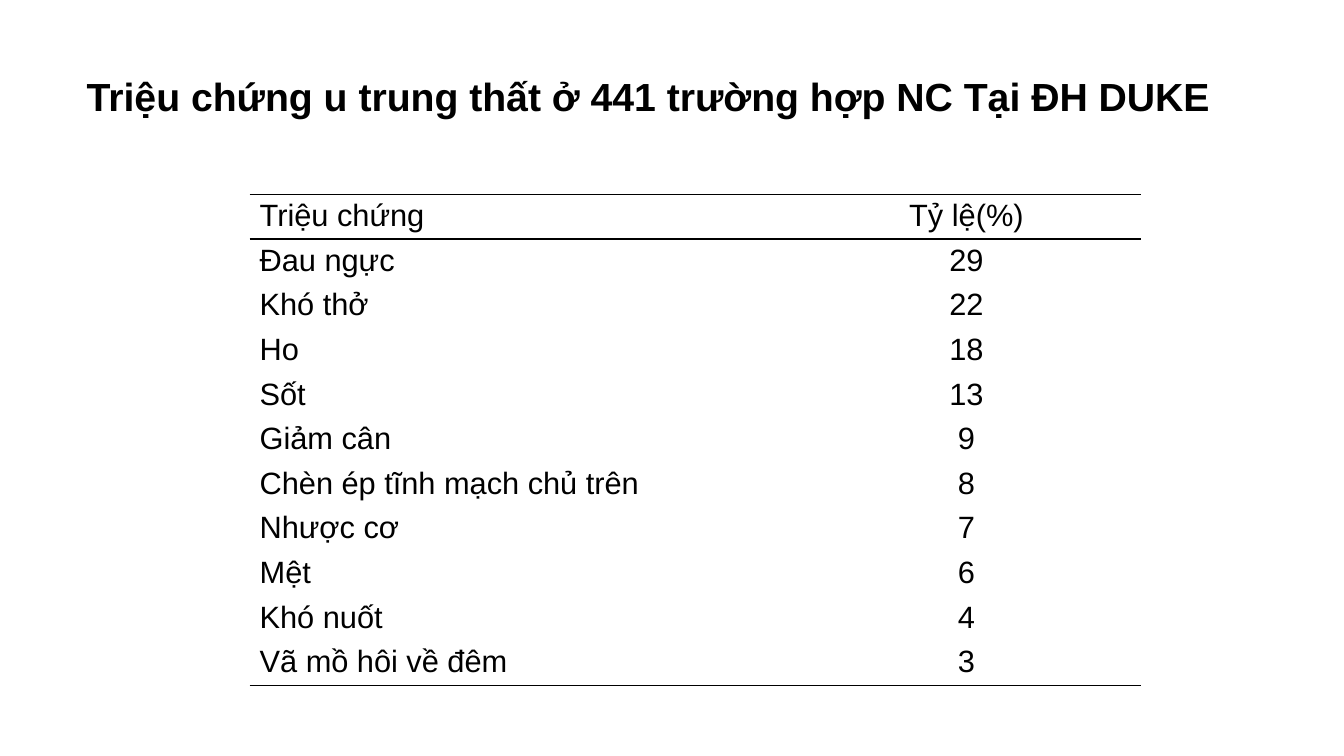
from lxml.etree import SubElement
from pptx import Presentation
from pptx.dml.color import RGBColor
from pptx.enum.text import MSO_ANCHOR as Anchor, PP_ALIGN as Align
from pptx.oxml.ns import qn
from pptx.util import Cm, Pt

BLACK = RGBColor(0x00, 0x00, 0x00)

SYMPTOMS = [
    ("Triệu chứng", "Tỷ lệ(%)"),
    ("Đau ngực", "29"),
    ("Khó thở", "22"),
    ("Ho", "18"),
    ("Sốt", "13"),
    ("Giảm cân", "9"),
    ("Chèn ép tĩnh mạch chủ trên", "8"),
    ("Nhược cơ", "7"),
    ("Mệt", "6"),
    ("Khó nuốt", "4"),
    ("Vã mồ hôi về đêm", "3"),
]


class SlideBuilder:
    font_name = "Arial"
    title_size = Pt(28)
    table_size = Pt(22)
    rule_width = Pt(1)

    def __init__(self, presentation):
        self.slide = presentation.slides.add_slide(presentation.slide_layouts[5])

    def add_text(self, paragraph, text, size, bold=False):
        run = paragraph.add_run()
        run.text = text
        run.font.name = self.font_name
        run.font.size = size
        run.font.bold = bold
        run.font.color.rgb = BLACK

    def title(self, text, left, top, width, height):
        shape = self.slide.shapes.title
        shape.left, shape.top, shape.width, shape.height = left, top, width, height
        frame = shape.text_frame
        frame.word_wrap = True
        frame.vertical_anchor = Anchor.MIDDLE
        paragraph = frame.paragraphs[0]
        paragraph.alignment = Align.LEFT
        paragraph.line_spacing = 0.9
        self.add_text(paragraph, text, self.title_size, bold=True)

    def borders(self, cell, ruled_sides):
        properties = cell._tc.get_or_add_tcPr()
        for side in "LRTB":
            line = SubElement(properties, qn(f"a:ln{side}"), w=str(self.rule_width))
            if side in ruled_sides:
                fill = SubElement(line, qn("a:solidFill"))
                SubElement(fill, qn("a:srgbClr"), val=str(BLACK))
            else:
                SubElement(line, qn("a:noFill"))

    def table(self, rows, left, top, column_widths, height, alignments):
        frame = self.slide.shapes.add_table(
            len(rows), len(column_widths), left, top, sum(column_widths), height)
        table = frame.table
        table.first_row = False
        table.horz_banding = False
        for column, width in zip(table.columns, column_widths):
            column.width = width
        last = len(rows) - 1
        for row_index, values in enumerate(rows):
            ruled_sides = {0: "TB", 1: "T", last: "B"}.get(row_index, "")
            for column_index, text in enumerate(values):
                cell = table.cell(row_index, column_index)
                cell.margin_top = cell.margin_bottom = Cm(0.11)
                self.borders(cell, ruled_sides)
                cell.fill.background()
                paragraph = cell.text_frame.paragraphs[0]
                paragraph.alignment = alignments[column_index]
                self.add_text(paragraph, text, self.table_size)


def main():
    presentation = Presentation()
    presentation.slide_width = Cm(33.87)
    presentation.slide_height = Cm(19.05)
    builder = SlideBuilder(presentation)
    builder.title("Triệu chứng u trung thất ở 441 trường hợp NC Tại ĐH DUKE",
                  Cm(1.93), Cm(0.64), Cm(29.21), Cm(3.68))
    builder.table(SYMPTOMS, Cm(6.29), Cm(4.9), (Cm(13.67), Cm(8.79)), Cm(12.37),
                  (Align.JUSTIFY, Align.CENTER))
    presentation.save("out.pptx")


if __name__ == "__main__":
    main()
